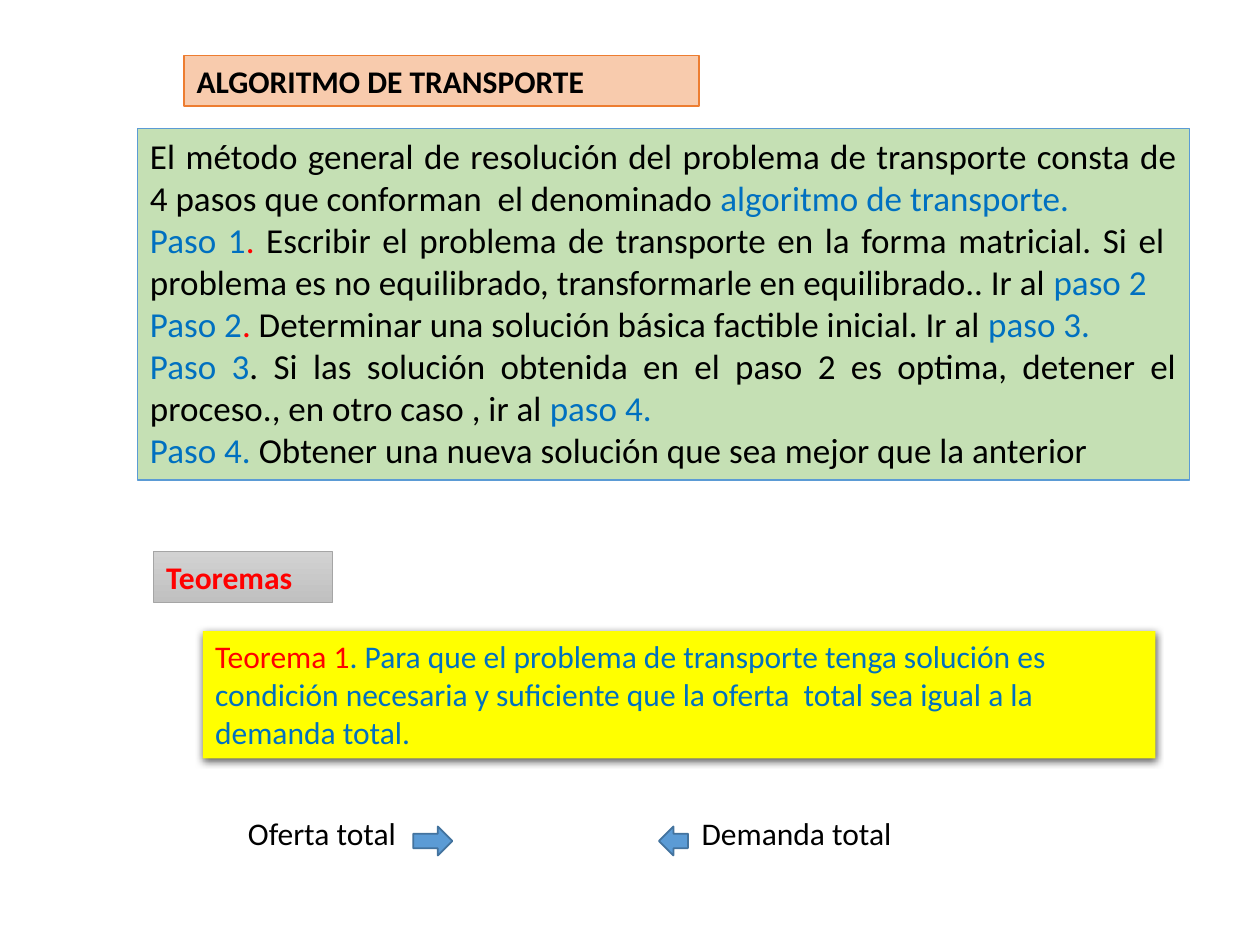
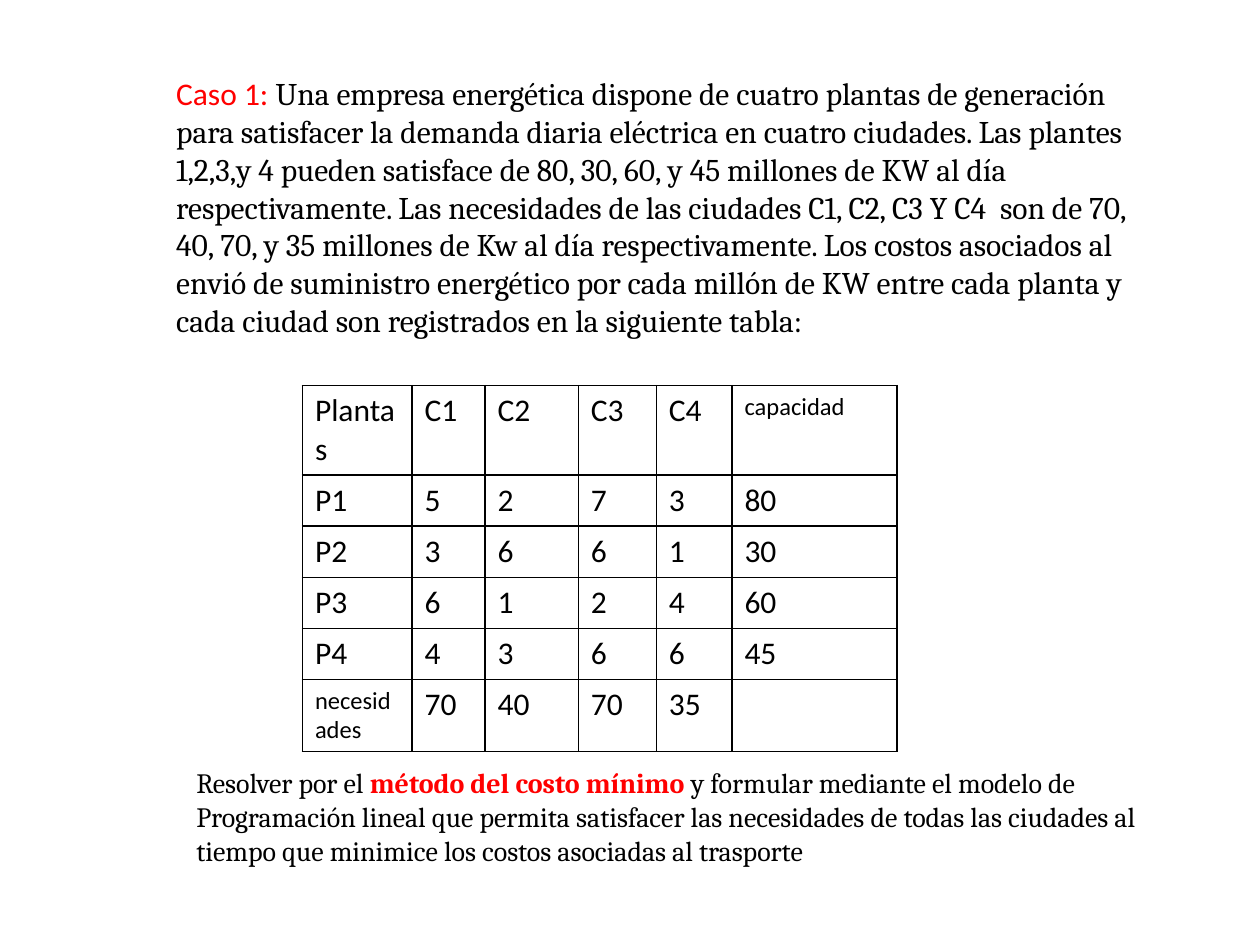
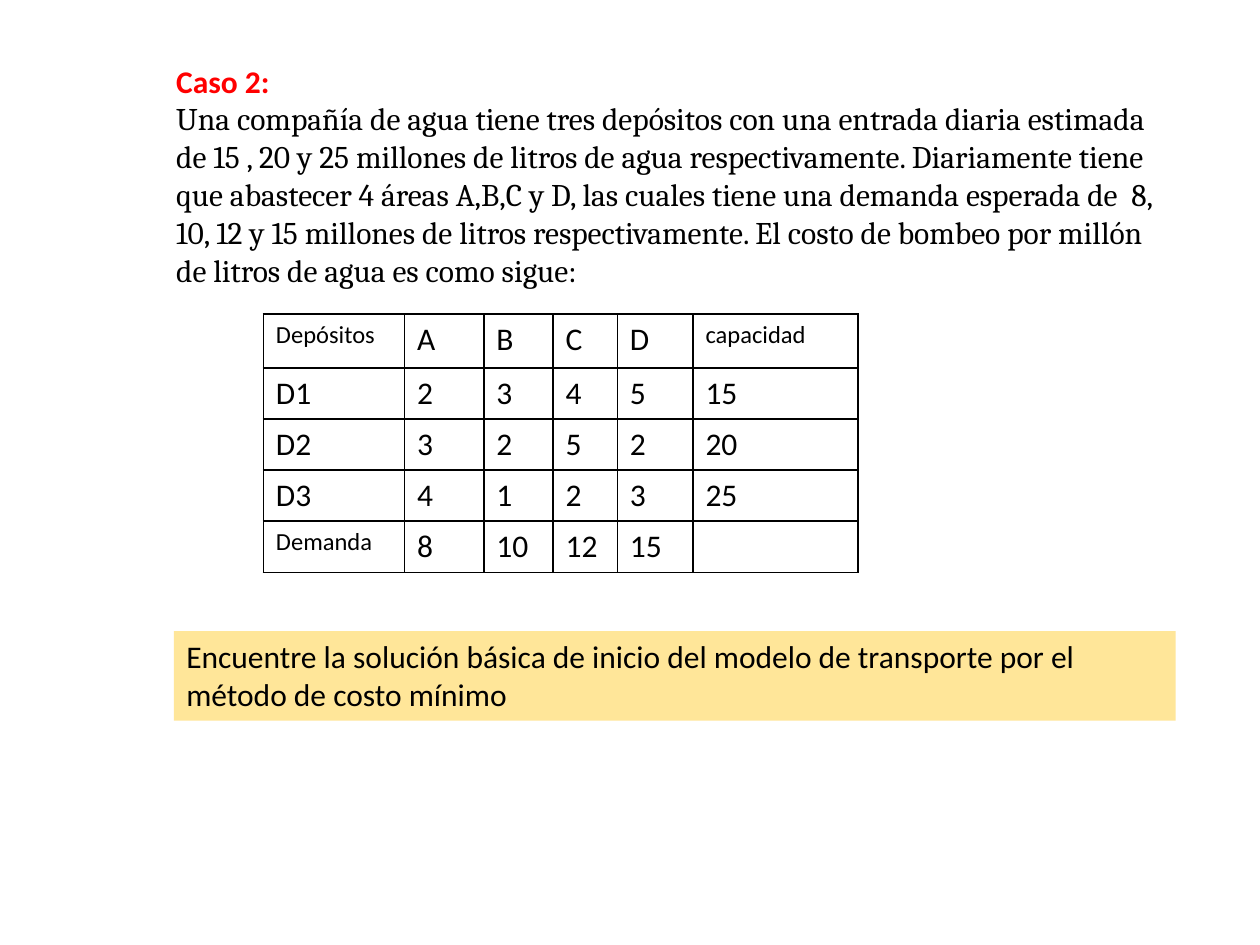
from dataclasses import dataclass

from lxml import etree
from pptx import Presentation
from pptx import util as u
from pptx.dml.color import RGBColor
from pptx.enum import shapes, text
from pptx.oxml import ns


@dataclass(frozen=True)
class Theme:
    ink: str = "000000"
    red: str = "FF0000"
    blue: str = "0070C0"
    peach: str = "F8CBAD"
    orange: str = "ED7D31"
    green: str = "C5E0B4"
    yellow: str = "FFFF00"
    sand: str = "FFE699"
    gray_top: str = "D2D2D2"
    gray_bottom: str = "C0C0C0"
    gray_line: str = "A5A5A5"
    arrow: str = "5B9BD5"
    arrow_line: str = "43739E"
    sans: str = "Calibri"
    serif: str = "Cambria"
    large: int = 20
    normal: int = 18
    medium: int = 16
    small: int = 14


T = Theme()


class Deck:
    """Holds the presentation, its theme and the slide being filled."""

    def __init__(self):
        self.prs = Presentation()
        self.prs.slide_width, self.prs.slide_height = u.Inches(10), u.Inches(7.5)

    def slide(self, layout=6):
        self.s = self.prs.slides.add_slide(self.prs.slide_layouts[layout])

    def add_text(self, p, content, color=T.ink, size=T.normal, font=T.sans, bold=False):
        r = p.add_run()
        r.text = content
        r.font.name, r.font.size, r.font.bold = font, u.Pt(size), bold
        r.font.color.rgb = RGBColor.from_string(color)

    def fill_text(self, sp, paragraphs, align=text.PP_ALIGN.LEFT, **style):
        tf = sp.text_frame
        tf.word_wrap = True
        tf.auto_size = text.MSO_AUTO_SIZE.NONE
        tf.vertical_anchor = text.MSO_ANCHOR.TOP
        for i, runs in enumerate(paragraphs):
            p = tf.add_paragraph() if i else tf.paragraphs[0]
            p.alignment = align
            p.space_before = u.Pt(0)
            for content, *own in runs:
                self.add_text(p, content, **{**style, **(own[0] if own else {})})

    def paint(self, sp, fill, line=None, width=1):
        sp.fill.solid()
        sp.fill.fore_color.rgb = RGBColor.from_string(fill)
        if line:
            sp.line.color.rgb = RGBColor.from_string(line)
            sp.line.width = u.Pt(width)
        else:
            sp.line.fill.background()

    def placeholder(self, index, box, paragraphs, fill, line, width=1, **style):
        sp = self.s.placeholders[index]
        sp.left, sp.top, sp.width, sp.height = map(u.Inches, box)
        self.paint(sp, fill, line, width)
        self.fill_text(sp, paragraphs, **style)
        for p in sp.text_frame.paragraphs:
            pPr = p._p.get_or_add_pPr()
            pPr.set("marL", "0")
            pPr.set("indent", "0")
            etree.SubElement(pPr, ns.qn("a:buNone"))

    def label(self, box, paragraphs, **style):
        sp = self.s.shapes.add_textbox(*map(u.Inches, box))
        self.fill_text(sp, paragraphs, **style)

    def shape(self, kind, box, fill, line=None, width=1):
        sp = self.s.shapes.add_shape(kind, *map(u.Inches, box))
        sp.shadow.inherit = False
        self.paint(sp, fill, line, width)
        return sp

    def panel(self, box, paragraphs, fill, line=None, width=1, **style):
        sp = self.shape(shapes.MSO_SHAPE.RECTANGLE, box, fill, line, width)
        self.fill_text(sp, paragraphs, **style)
        return sp

    def gradient(self, sp, *colors):
        sp.fill.gradient()
        sp.fill.gradient_angle = 270
        for stop, color in zip(sp.fill.gradient_stops, colors):
            stop.color.rgb = RGBColor.from_string(color)

    def drop_shadow(self, sp):
        effects = sp._element.spPr.find(ns.qn("a:effectLst"))
        shadow = etree.SubElement(effects, ns.qn("a:outerShdw"), blurRad=str(u.Pt(4.5)),
                                  dist=str(u.Pt(1.5)), dir="5400000", algn="ctr", rotWithShape="0")
        color = etree.SubElement(shadow, ns.qn("a:srgbClr"), val=T.ink)
        etree.SubElement(color, ns.qn("a:alpha"), val="63000")

    def borders(self, cell):
        tcPr = cell._tc.get_or_add_tcPr()
        for i, side in enumerate(("lnL", "lnR", "lnT", "lnB")):
            ln = etree.Element(ns.qn(f"a:{side}"), w=str(u.Pt(1)))
            fill = etree.SubElement(ln, ns.qn("a:solidFill"))
            etree.SubElement(fill, ns.qn("a:srgbClr"), val=T.ink)
            tcPr.insert(i, ln)

    def table(self, left, top, widths, heights, rows, small):
        frame = self.s.shapes.add_table(len(rows), len(widths), *map(
            u.Inches, (left, top, sum(widths), sum(heights))))
        tbl = frame.table
        tbl.first_row = tbl.horz_banding = False
        for column, width in zip(tbl.columns, widths):
            column.width = u.Inches(width)
        for row, height, values in zip(tbl.rows, heights, rows):
            row.height = u.Inches(height)
            for cell, value in zip(row.cells, values):
                cell.fill.background()
                self.borders(cell)
                if value:
                    size = T.small if value in small else T.normal
                    self.add_text(cell.text_frame.paragraphs[0], value, size=size)


def algorithm_slide(d):
    blue, red = {"color": T.blue}, {"color": T.red}
    d.slide(1)
    d.placeholder(0, (1.46, 0.44, 4.09, 0.4), [[("ALGORITMO DE TRANSPORTE",)]],
                  T.peach, T.orange, bold=True)
    steps = [
        [("El método general de resolución del problema de transporte consta de 4 pasos que conforman  el denominado ",),
         ("algoritmo de transporte.", blue)],
        [("Paso 1", blue), (".", red),
         (" Escribir el problema de transporte en la forma matricial. Si el  problema es no equilibrado, transformarle en equilibrado.. Ir al ",),
         ("paso 2", blue)],
        [("Paso 2", blue), (".", red),
         (" Determinar una solución básica factible inicial. Ir al ",), ("paso 3.", blue)],
        [("Paso 3", blue),
         (". Si las solución obtenida en el paso 2 es optima, detener el proceso., en otro caso , ir al ",),
         ("paso 4.", blue)],
        [("Paso 4. ", blue), ("Obtener una nueva solución que sea mejor que la anterior ",)],
    ]
    d.placeholder(1, (1.09, 1.02, 8.35, 2.79), steps, T.green, T.arrow, 0.75,
                  align=text.PP_ALIGN.JUSTIFY, size=T.large)
    heading = d.panel((1.22, 4.38, 1.42, 0.4), [[("Teoremas",)]], T.gray_top,
                      T.gray_line, 0.5, color=T.red, bold=True)
    d.gradient(heading, T.gray_top, T.gray_bottom)
    theorem = d.panel((1.61, 5.01, 7.56, 1.01), [[
        ("Teorema 1", red),
        (". Para que el problema de transporte tenga solución es condición necesaria y suficiente que la oferta  total sea igual a la demanda total.",)]],
        T.yellow, color=T.blue)
    d.drop_shadow(theorem)
    d.label((1.87, 6.41, 1.56, 0.4), [[("Oferta total",)]])
    d.label((5.47, 6.41, 1.72, 0.4), [[("Demanda total",)]])
    for kind, left, width in ((shapes.MSO_SHAPE.LEFT_ARROW, 5.23, 0.23),
                              (shapes.MSO_SHAPE.RIGHT_ARROW, 3.28, 0.31)):
        d.shape(kind, (left, 6.56, width, 0.23), T.arrow, T.arrow_line)


def energy_slide(d):
    d.slide()
    d.label((1.3, 0.54, 8.03, 2.52), [[
        ("Caso 1: ", {"color": T.red, "font": T.sans}),
        ("Una empresa energética dispone de cuatro plantas de generación para satisfacer la demanda diaria eléctrica en cuatro ciudades. Las plantes 1,2,3,y 4 pueden satisface de 80, 30, 60, y 45 millones de KW al día respectivamente. Las necesidades de las ciudades C1, C2, C3 Y C4  son de 70, 40, 70, y 35 millones de Kw al día respectivamente. Los costos asociados al envió de suministro energético por cada millón de KW entre cada planta y cada ciudad son registrados en la siguiente tabla:",)]],
        font=T.serif)
    rows = [
        ("Plantas", "C1", "C2", "C3", "C4", "capacidad"),
        ("P1", "5", "2", "7", "3", "80"),
        ("P2", "3", "6", "6", "1", "30"),
        ("P3", "6", "1", "2", "4", "60"),
        ("P4", "4", "3", "6", "6", "45"),
        ("necesidades", "70", "40", "70", "35", ""),
    ]
    d.table(2.4, 3.06, (0.87, 0.58, 0.74, 0.62, 0.6, 1.31), (0.7, *[0.4] * 4, 0.57),
            rows, ("capacidad", "necesidades"))
    d.label((1.46, 6.03, 8.03, 0.91), [[
        ("Resolver por el ",),
        ("método del costo mínimo ", {"color": T.red, "bold": True}),
        ("y formular mediante el modelo de Programación lineal que permita satisfacer las necesidades de todas las ciudades al tiempo que minimice los costos asociadas al trasporte",)]],
        size=T.medium, font=T.serif)


def water_slide(d):
    d.slide()
    d.label((1.3, 0.44, 8.11, 2.22), [
        [("Caso 2:", {"color": T.red, "font": T.sans, "bold": True})],
        [("Una compañía de agua tiene tres depósitos con una entrada diaria estimada de 15 , 20 y 25 millones de litros de agua respectivamente. Diariamente tiene que abastecer 4 áreas A,B,C y D, las cuales tiene una demanda esperada de  8,  10, 12 y 15 millones de litros respectivamente. El costo de bombeo por millón de litros de agua es como sigue:",)]],
        font=T.serif)
    rows = [
        ("Depósitos", "A", "B", "C", "D", "capacidad"),
        ("D1", "2", "3", "4", "5", "15"),
        ("D2", "3", "2", "5", "2", "20"),
        ("D3", "4", "1", "2", "3", "25"),
        ("Demanda", "8", "10", "12", "15", ""),
    ]
    d.table(2.09, 2.49, (1.12, 0.63, 0.55, 0.51, 0.6, 1.31), (0.43, *[0.4] * 4),
            rows, ("Depósitos", "capacidad", "Demanda"))
    d.panel((1.38, 5.01, 7.95, 0.71), [[
        ("Encuentre la solución básica de inicio del modelo de transporte por el método de costo mínimo",)]],
        T.sand)


def main():
    d = Deck()
    algorithm_slide(d)
    energy_slide(d)
    water_slide(d)
    d.prs.save("out.pptx")


if __name__ == "__main__":
    main()
